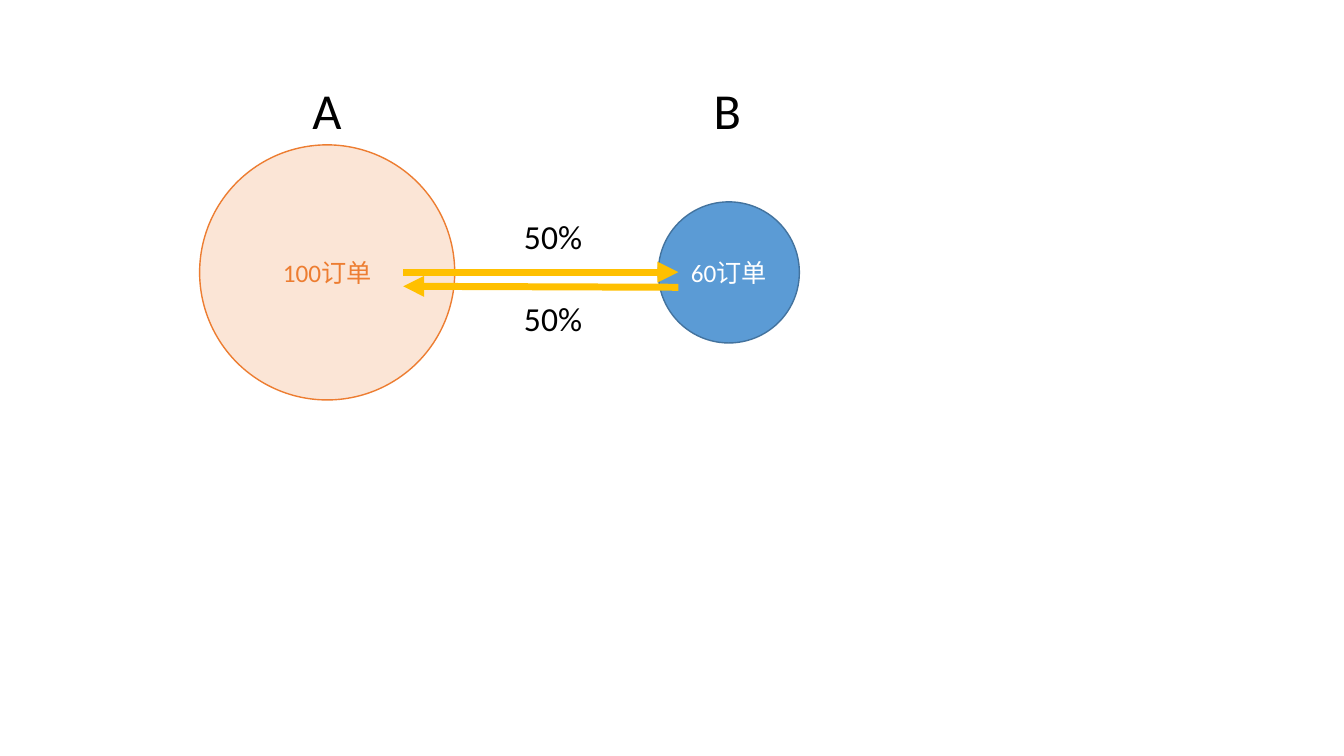
import pptx
import pptx.util
import pptx.dml.color
import pptx.enum.shapes
import pptx.enum.text
import pptx.oxml.ns
import lxml.etree
from dataclasses import dataclass

Pt = pptx.util.Pt
RGB = pptx.dml.color.RGBColor.from_string
text_enum = pptx.enum.text


@dataclass(frozen=True)
class Theme:
    font: str = "Calibri"
    peach: RGB = RGB("FBE5D6")
    orange: RGB = RGB("ED7D31")
    blue: RGB = RGB("5B9BD5")
    navy: RGB = RGB("43739E")
    gold: RGB = RGB("FFC000")
    white: RGB = RGB("FFFFFF")
    black: RGB = RGB("000000")
    head: int = 36
    rate: int = 24
    body: int = 18


theme = Theme()


def write(shape, text, size, color):
    para = shape.text_frame.paragraphs[0]
    para.text = text
    para.font.name = theme.font
    para.font.size = Pt(size)
    para.font.color.rgb = color
    return para


deck = pptx.Presentation()
deck.slide_width, deck.slide_height = Pt(960), Pt(540)
slide = deck.slides.add_slide(deck.slide_layouts[6])
shapes = slide.shapes

# Order circles, centred on one line
mid = 194.6
circles = [
    ("100订单", 233.7, 182.2, theme.peach, theme.orange, theme.orange),
    ("60订单", 520.6, 100.8, theme.blue, theme.navy, theme.white),
]
for text, center, size, fill, edge, color in circles:
    disc = shapes.add_shape(
        pptx.enum.shapes.MSO_SHAPE.OVAL,
        Pt(center - size / 2), Pt(mid - size / 2), Pt(size), Pt(size))
    disc.shadow.inherit = False
    disc.fill.solid()
    disc.fill.fore_color.rgb = fill
    disc.line.color.rgb = edge
    disc.line.width = Pt(1)
    disc.text_frame.word_wrap = True
    disc.text_frame.vertical_anchor = text_enum.MSO_ANCHOR.MIDDLE
    write(disc, text, theme.body, color).alignment = text_enum.PP_ALIGN.CENTER

# Circle names
for text, left in [("A", 216), ("B", 502.6)]:
    box = shapes.add_textbox(Pt(left), Pt(52.6), Pt(35.3), Pt(51))
    box.text_frame.word_wrap = False
    box.text_frame.auto_size = text_enum.MSO_AUTO_SIZE.SHAPE_TO_FIT_TEXT
    write(box, text, theme.head, theme.black)

# Flows there and back
near, far = 288, 484.6
for x1, y1, x2, y2 in [(near, 194.4, far, 194.4), (far, 205.2, near, 204.5)]:
    flow = shapes.add_connector(
        pptx.enum.shapes.MSO_CONNECTOR.STRAIGHT, Pt(x1), Pt(y1), Pt(x2), Pt(y2))
    flow.line.color.rgb = theme.gold
    flow.line.width = Pt(5)
    tip = lxml.etree.SubElement(
        flow.line._get_or_add_ln(), pptx.oxml.ns.qn("a:tailEnd"))
    tip.set("type", "triangle")
    lxml.etree.SubElement(
        flow._element.spPr, pptx.oxml.ns.qn("a:effectLst"))

# Share of each flow
for top in (150.5, 209.5):
    box = shapes.add_textbox(Pt(367.2), Pt(top), Pt(87.8), Pt(36))
    box.text_frame.word_wrap = True
    box.text_frame.auto_size = text_enum.MSO_AUTO_SIZE.SHAPE_TO_FIT_TEXT
    write(box, "50%", theme.rate, theme.black)

deck.save("out.pptx")
